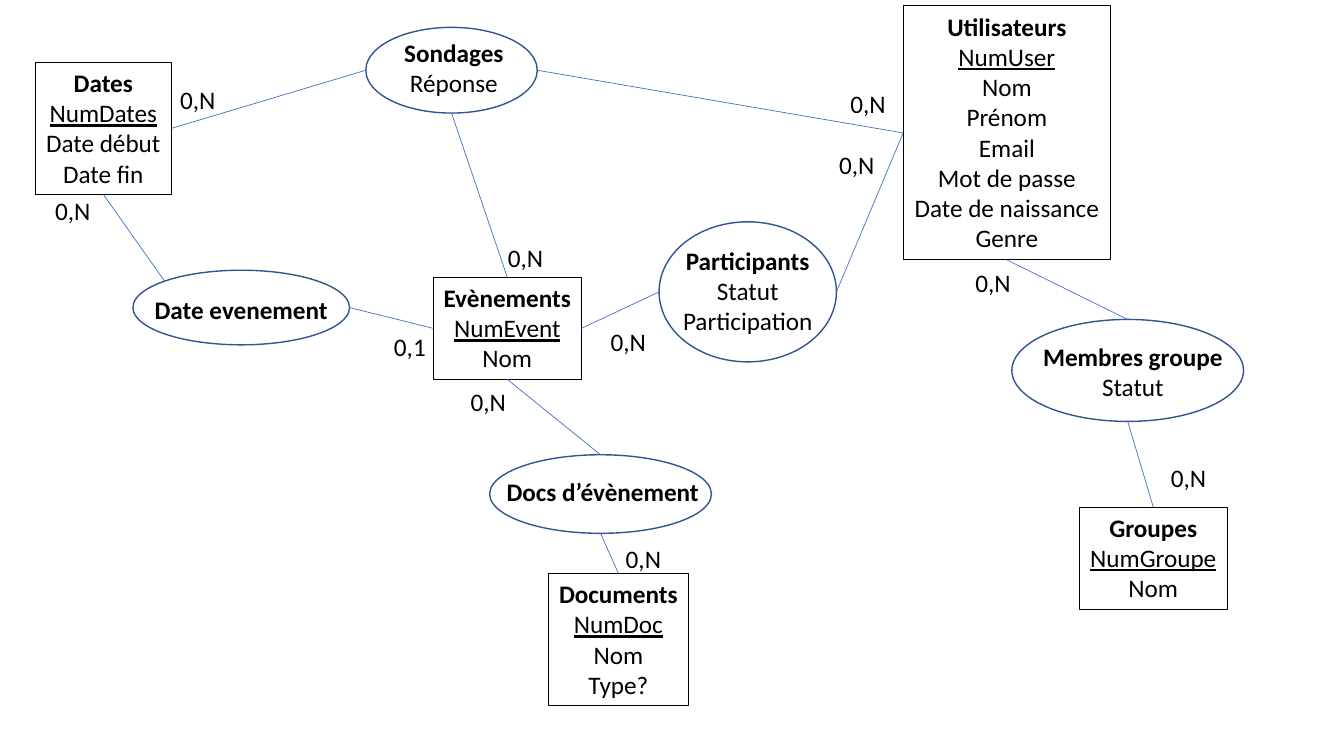
from dataclasses import dataclass

from lxml import etree
from pptx import Presentation
from pptx.dml.color import RGBColor
from pptx.enum.shapes import MSO_CONNECTOR, MSO_SHAPE
from pptx.enum.text import MSO_ANCHOR, MSO_AUTO_SIZE, PP_ALIGN
from pptx.oxml.ns import qn
from pptx.shapes.autoshape import Shape
from pptx.slide import Slide
from pptx.util import Cm, Pt

RECTANGLE, ELLIPSE = MSO_SHAPE.RECTANGLE, MSO_SHAPE.OVAL
STRAIGHT = MSO_CONNECTOR.STRAIGHT
CENTER, LEFT_ALIGN = PP_ALIGN.CENTER, PP_ALIGN.LEFT
TOP_ANCHOR = MSO_ANCHOR.TOP
FIT_SHAPE = MSO_AUTO_SIZE.SHAPE_TO_FIT_TEXT

BLACK = RGBColor(0x00, 0x00, 0x00)
DARK_BLUE = RGBColor(0x32, 0x54, 0x91)
BLUE = RGBColor(0x44, 0x72, 0xC4)

TOP, LEFT, BOTTOM, RIGHT = range(4)
TOP_LEFT = 4
DIAGONAL = (1 - 0.5 ** 0.5) / 2
SITES = {
    TOP: (0.5, 0),
    LEFT: (0, 0.5),
    BOTTOM: (0.5, 1),
    RIGHT: (1, 0.5),
    TOP_LEFT: (DIAGONAL, DIAGONAL),
}


@dataclass(frozen=True)
class Area:
    """Left, top, width and height in centimetres."""
    left: float
    top: float
    width: float
    height: float

    def lengths(self) -> tuple[Cm, Cm, Cm, Cm]:
        return Cm(self.left), Cm(self.top), Cm(self.width), Cm(self.height)

    def site(self, side: int) -> tuple[Cm, Cm]:
        across, down = SITES[side]
        return Cm(self.left + across * self.width), Cm(self.top + down * self.height)


@dataclass(frozen=True)
class Entity:
    """A titled box whose first attribute is its key."""
    area: Area
    name: str
    attributes: list[str]


@dataclass(frozen=True)
class Relation:
    area: Area
    label: Area
    name: str
    attributes: list[str]


@dataclass(frozen=True)
class Link:
    entity: str
    entity_side: int
    relation: str
    relation_side: int


@dataclass(frozen=True)
class Cardinality:
    left: float
    top: float
    text: str = "0,N"


ENTITIES = [
    Entity(Area(22.76, 0.15, 5.23, 6.4), "Utilisateurs",
           ["NumUser", "Nom", "Prénom", "Email", "Mot de passe",
            "Date de naissance", "Genre"]),
    Entity(Area(10.92, 6.99, 3.73, 2.57), "Evènements", ["NumEvent", "Nom"]),
    Entity(Area(27.2, 12.78, 3.73, 2.57), "Groupes", ["NumGroupe", "Nom"]),
    Entity(Area(13.82, 14.45, 3.53, 3.33), "Documents", ["NumDoc", "Nom", "Type?"]),
    Entity(Area(0.89, 1.57, 3.43, 3.33), "Dates",
           ["NumDates", "Date début", "Date fin"]),
]
RELATIONS = [
    Relation(Area(25.5, 8.05, 5.84, 2.57), Area(26.01, 8.48, 5.08, 1.8),
             "Membres groupe", ["Statut"]),
    Relation(Area(9.22, 0.69, 4.32, 2.16), Area(9.93, 0.81, 3.02, 1.8),
             "Sondages", ["Réponse"]),
    Relation(Area(3.35, 6.81, 5.46, 1.88), Area(3.63, 7.29, 4.9, 1.02),
             "Date evenement", []),
    Relation(Area(16.61, 5.59, 4.47, 3.53), Area(16.94, 6.05, 3.81, 2.57),
             "Participants", ["Statut", "Participation"]),
    Relation(Area(12.34, 11.46, 5.59, 1.98), Area(12.5, 11.89, 5.38, 1.02),
             "Docs d’évènement", []),
]
LINKS = [
    Link("Evènements", RIGHT, "Participants", LEFT),
    Link("Utilisateurs", LEFT, "Participants", RIGHT),
    Link("Dates", RIGHT, "Sondages", LEFT),
    Link("Evènements", LEFT, "Date evenement", RIGHT),
    Link("Dates", BOTTOM, "Date evenement", TOP_LEFT),
    Link("Evènements", BOTTOM, "Docs d’évènement", TOP),
    Link("Documents", TOP, "Docs d’évènement", BOTTOM),
    Link("Utilisateurs", BOTTOM, "Membres groupe", TOP),
    Link("Groupes", TOP, "Membres groupe", BOTTOM),
    Link("Utilisateurs", LEFT, "Sondages", RIGHT),
    Link("Evènements", TOP, "Sondages", BOTTOM),
]
CARDINALITIES = [
    Cardinality(4.29, 2.01), Cardinality(1.14, 4.8), Cardinality(9.68, 8.23, "0,1"),
    Cardinality(20.9, 3.63), Cardinality(15.52, 13.56), Cardinality(11.61, 9.6),
    Cardinality(24.33, 6.6), Cardinality(21.18, 2.11), Cardinality(29.26, 11.53),
    Cardinality(12.55, 5.99), Cardinality(15.14, 8.1),
]


def write_lines(box: Shape, lines: list[str], alignment: PP_ALIGN) -> None:
    frame = box.text_frame
    frame.text = "\n".join(lines)
    frame.word_wrap = False
    frame.auto_size = FIT_SHAPE
    frame.vertical_anchor = TOP_ANCHOR
    for paragraph in frame.paragraphs:
        paragraph.alignment = alignment
        paragraph.font.name = "Calibri"
        paragraph.font.size = Pt(18)
        paragraph.font.color.rgb = BLACK


def add_outline(page: Slide, kind: MSO_SHAPE, area: Area,
                color: RGBColor, weight: float) -> Shape:
    outline = page.shapes.add_shape(kind, *area.lengths())
    outline.shadow.inherit = False
    outline.fill.background()
    outline.line.color.rgb = color
    outline.line.width = Pt(weight)
    return outline


def add_entity(page: Slide, entity: Entity) -> Shape:
    box = add_outline(page, RECTANGLE, entity.area, BLACK, 0.75)
    write_lines(box, [entity.name, *entity.attributes], CENTER)
    title, key = box.text_frame.paragraphs[:2]
    title.font.bold = True
    key.font.underline = True
    return box


def add_relation(page: Slide, relation: Relation) -> None:
    add_outline(page, ELLIPSE, relation.area, DARK_BLUE, 1)
    label = page.shapes.add_textbox(*relation.label.lengths())
    write_lines(label, [relation.name, *relation.attributes], CENTER)
    label.text_frame.paragraphs[0].font.bold = True


def add_link(page: Slide, link: Link, box: Shape, relation: Relation) -> None:
    end = relation.area.site(link.relation_side)
    line = page.shapes.add_connector(STRAIGHT, *end, *end)
    line.begin_connect(box, link.entity_side)
    line.line.color.rgb = BLUE
    line.line.width = Pt(0.5)
    etree.SubElement(line._element.spPr, qn("a:effectLst"))


def add_cardinality(page: Slide, cardinality: Cardinality) -> None:
    area = Area(cardinality.left, cardinality.top, 1.42, 1.02)
    box = page.shapes.add_textbox(*area.lengths())
    write_lines(box, [cardinality.text], LEFT_ALIGN)


def main() -> None:
    deck = Presentation()
    deck.slide_width, deck.slide_height = Cm(33.87), Cm(19.05)
    page = deck.slides.add_slide(deck.slide_layouts[6])
    boxes = {entity.name: add_entity(page, entity) for entity in ENTITIES}
    relations = {relation.name: relation for relation in RELATIONS}
    for relation in RELATIONS:
        add_relation(page, relation)
    for link in LINKS:
        add_link(page, link, boxes[link.entity], relations[link.relation])
    for cardinality in CARDINALITIES:
        add_cardinality(page, cardinality)
    deck.save("out.pptx")


if __name__ == "__main__":
    main()
